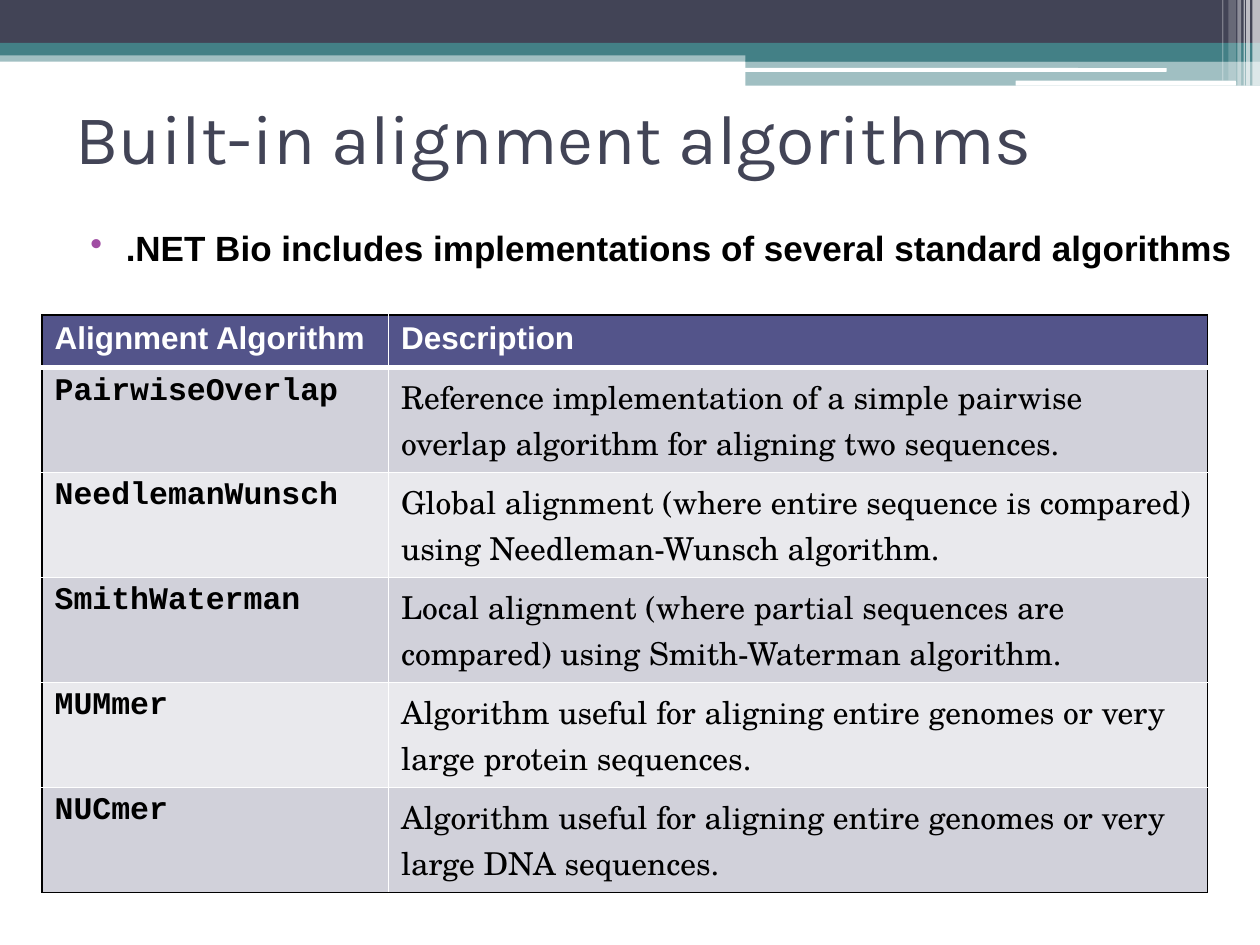
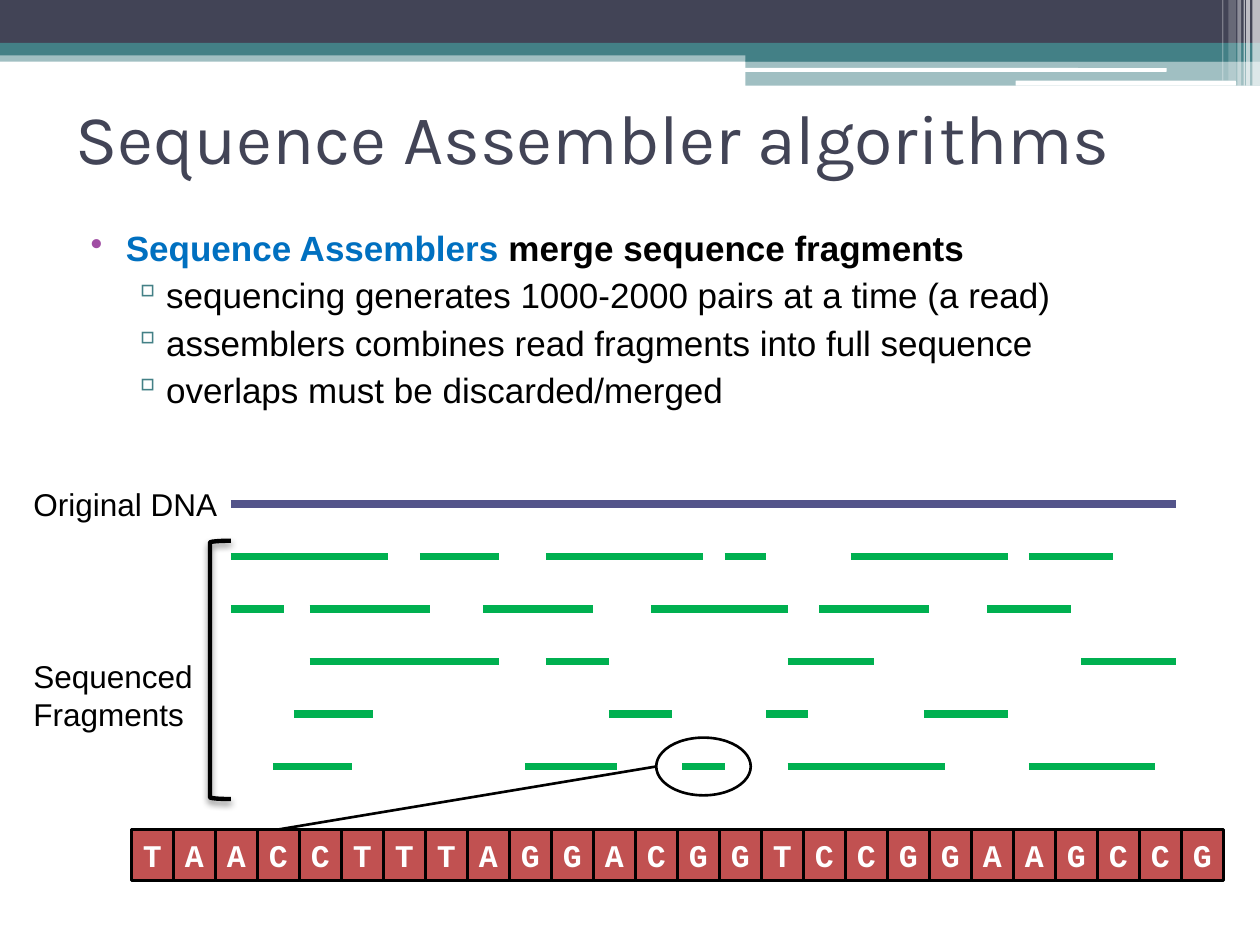
from dataclasses import dataclass

from pptx import Presentation
from pptx.dml.color import RGBColor
from pptx.enum.shapes import MSO_CONNECTOR as LINK, MSO_SHAPE as SHAPE
from pptx.enum.text import MSO_ANCHOR as ANCHOR, PP_ALIGN as ALIGN
from pptx.oxml.ns import qn
from pptx.oxml.xmlchemy import OxmlElement as element
from pptx.util import Inches, Pt

COLUMNS, ROWS, CELLS_PER_INCH = 240, 180, 24


@dataclass(frozen=True)
class Theme:
    navy: str = "424456"
    teal: str = "438086"
    violet: str = "53548A"
    purple: str = "A04DA3"
    blue: str = "0070C0"
    green: str = "00B050"
    red: str = "C15151"
    black: str = "000000"
    white: str = "FFFFFF"
    stripes: tuple = ("D1D1DA", "E9E9ED")
    heading: str = "Karla"
    sans: str = "Arial"
    mono: str = "Courier New"
    serif: str = "TeX Gyre Schola"
    title_size: int = 40
    body_size: int = 20
    small_size: int = 18
    thick: float = 4.5
    medium: float = 2.5
    thin: float = 1.5


THEME = Theme()

BANDS = [
    (0, 9.6, COLUMNS, 2.16, THEME.teal, 50),
    (0, 0, COLUMNS, 8.16, THEME.navy, 100),
    (0, 8.16, COLUMNS, 2.4, THEME.teal, 100),
    (142, 9.36, 98, 2.4, THEME.teal, 100),
    (142, 11.52, 98, 4.8, THEME.teal, 50),
]
SLITS = [(141.84, 12.96, 80.4, 0.72), (193.44, 15.36, 42, 0.96)]
PINSTRIPES = [
    (238.56, 1.44, 16.32, 65),
    (237.36, 0.72, 16.32, 65),
    (236.88, 0.24, 16.32, 60),
    (235.68, 0.72, 16.32, 40),
    (234, 1.44, 15.36, 20),
    (232.8, 0.24, 15.36, 30),
]
BULLETS = [("•", THEME.purple, 0.4, 0.28), ("▫", THEME.teal, 0.72, 0.27)]

ALGORITHMS = [
    ("PairwiseOverlap", "Reference implementation of a simple pairwise overlap "
     "algorithm for aligning two sequences."),
    ("NeedlemanWunsch", "Global alignment (where entire sequence is compared) "
     "using Needleman-Wunsch algorithm."),
    ("SmithWaterman", "Local alignment (where partial sequences are compared) "
     "using Smith-Waterman algorithm."),
    ("MUMmer", "Algorithm useful for aligning entire genomes or very large "
     "protein sequences."),
    ("NUCmer", "Algorithm useful for aligning entire genomes or very large "
     "DNA sequences."),
]
DNA_LEFT, DNA_ROW, DNA_LENGTH, READ_GAP = 44, 96, 180, 10
READS = [
    [(0, 30), (36, 51), (60, 90), (94, 102), (118, 148), (152, 168)],
    [(0, 10), (15, 38), (48, 69), (80, 106), (112, 133), (144, 160)],
    [(15, 38), (36, 51), (60, 72), (106, 122.5), (162, 180)],
    [(12, 27), (72, 84), (102, 110), (132, 148)],
    [(8, 23), (56, 73.5), (86, 94), (106, 136), (152, 176)],
]
BASES = "TAACCTTTAGGACGGTCCGGAAGCCG"


def grid(*lengths):
    return [Inches(length / CELLS_PER_INCH) for length in lengths]


def rgb(color):
    return RGBColor.from_string(color)


def apply_format(target, **values):
    for name, value in values.items():
        setattr(target, name, value)


def add_child(parent, tag, **attributes):
    child = element(tag)
    for name, value in attributes.items():
        child.set(name, str(value))
    parent.append(child)
    return child


def write(paragraph, words, size, font, color, bold=False):
    run = paragraph.add_run()
    run.text = words
    apply_format(run.font, size=Pt(size), name=font, bold=bold)
    run.font.color.rgb = rgb(color)


def add_figure(slide, kind, place, fill=None, alpha=100, line=None, width=1.5):
    figure = slide.shapes.add_shape(kind, *grid(*place))
    figure.shadow.inherit = False
    if fill:
        figure.fill.solid()
        figure.fill.fore_color.rgb = rgb(fill)
    else:
        figure.fill.background()
    if alpha < 100:
        paint = figure.element.spPr.find(qn("a:solidFill"))[0]
        add_child(paint, "a:alpha", val=alpha * 1000)
    if line:
        figure.line.color.rgb = rgb(line)
        figure.line.width = Pt(width)
    else:
        figure.line.fill.background()
    return figure


def add_stroke(slide, start, end, color, width):
    stroke = slide.shapes.add_connector(LINK.STRAIGHT, *grid(*start, *end))
    stroke.line.color.rgb = rgb(color)
    stroke.line.width = Pt(width)
    add_child(stroke.element.spPr, "a:effectLst")
    return stroke


def add_text(slide, place, anchor=ANCHOR.TOP):
    frame = slide.shapes.add_textbox(*grid(*place)).text_frame
    apply_format(frame, word_wrap=True, vertical_anchor=anchor)
    return frame


def paragraphs(frame, count):
    return [frame.paragraphs[0]] + [frame.add_paragraph() for _ in range(count - 1)]


def add_label(slide, place, lines):
    frame = add_text(slide, place)
    for paragraph, words in zip(paragraphs(frame, len(lines)), lines):
        write(paragraph, words, THEME.small_size, THEME.sans, THEME.black)


def add_points(slide, place, points):
    frame = add_text(slide, place)
    for paragraph, (level, runs) in zip(paragraphs(frame, len(points)), points):
        mark, color, margin, hanging = BULLETS[level]
        apply_format(paragraph, level=level, space_before=Pt(3))
        properties = paragraph._p.get_or_add_pPr()
        properties.set("marL", str(Inches(margin)))
        properties.set("indent", str(-Inches(hanging)))
        add_child(add_child(properties, "a:buClr"), "a:srgbClr", val=color)
        add_child(properties, "a:buChar", char=mark)
        for words, ink in runs:
            write(paragraph, words, THEME.body_size, THEME.sans, ink, level == 0)


def add_titled_slide(deck, title):
    slide = deck.slides.add_slide(deck.slide_layouts[6])
    for *place, color, alpha in BANDS:
        add_figure(slide, SHAPE.RECTANGLE, place, color, alpha)
    for place in SLITS:
        add_figure(slide, SHAPE.ROUNDED_RECTANGLE, place, THEME.white)
    for left, width, height, alpha in PINSTRIPES:
        add_figure(slide, SHAPE.RECTANGLE, (left, 0, width, height), THEME.white, alpha)
    heading = add_text(slide, (12, 12, 216, 28), ANCHOR.MIDDLE)
    write(heading.paragraphs[0], title, THEME.title_size, THEME.heading, THEME.navy)
    return slide


def add_borders(cell, edges):
    properties = cell._tc.get_or_add_tcPr()
    for position, (side, (color, width)) in enumerate(edges.items()):
        border = element(f"a:ln{side}")
        border.set("w", str(Pt(width)))
        add_child(add_child(border, "a:solidFill"), "a:srgbClr", val=color)
        properties.insert(position, border)


def fill_cell(cell, words, font, color, bold, fill, edges):
    write(cell.text_frame.paragraphs[0], words, THEME.small_size, font, color, bold)
    cell.fill.solid()
    cell.fill.fore_color.rgb = rgb(fill)
    add_borders(cell, edges)


def add_algorithm_table(slide):
    entries = [("Alignment Algorithm", "Description")] + ALGORITHMS
    last = len(entries) - 1
    table = slide.shapes.add_table(len(entries), 2, *grid(8, 60, 222, 110)).table
    table.horz_banding = False
    for column, width in zip(table.columns, grid(66, 156)):
        column.width = width
    outer, inner, rule = (THEME.black, 1), (THEME.white, 1), (THEME.white, 3)
    for row, entry in enumerate(entries):
        table.rows[row].height = grid(20 if row else 10)[0]
        for column, words in enumerate(entry):
            edges = {
                "L": inner if column else outer,
                "R": outer if column else inner,
                "T": {0: outer, 1: rule}.get(row, inner),
                "B": {0: rule, last: outer}.get(row, inner),
            }
            if row == 0:
                style = (THEME.sans, THEME.white, True, THEME.violet)
            else:
                font = THEME.serif if column else THEME.mono
                style = (font, THEME.black, column == 0, THEME.stripes[(row - 1) % 2])
            fill_cell(table.cell(row, column), words, *style, edges)


def add_reads(slide):
    def add_strand(row, start, end, color):
        add_stroke(slide, (DNA_LEFT + start, row), (DNA_LEFT + end, row), color, THEME.thick)

    add_strand(DNA_ROW, 0, DNA_LENGTH, THEME.violet)
    for index, fragments in enumerate(READS, 1):
        for start, end in fragments:
            add_strand(DNA_ROW + index * READ_GAP, start, end, THEME.green)


def add_bracket(slide):
    bracket = add_figure(slide, SHAPE.LEFT_BRACKET, (40, 103, 4, 49.2),
                         line=THEME.black, width=THEME.medium)
    effects = bracket.element.spPr.find(qn("a:effectLst"))
    shadow = add_child(effects, "a:outerShdw", blurRad=Pt(4), dist=Pt(2),
                       dir=90 * 60000, rotWithShape=0)
    add_child(add_child(shadow, "a:srgbClr", val=THEME.black), "a:alpha", val=45000)


def add_base(slide, index, letter):
    base = add_figure(slide, SHAPE.RECTANGLE, (25 + 8 * index, 158, 8, 9.7),
                      THEME.red, line=THEME.black, width=THEME.thin)
    base.text_frame.word_wrap = False
    paragraph = base.text_frame.paragraphs[0]
    paragraph.alignment = ALIGN.CENTER
    write(paragraph, letter, THEME.small_size, THEME.mono, THEME.white, True)
    return base


def build_alignment(deck):
    slide = add_titled_slide(deck, "Built-in alignment algorithms")
    add_points(slide, (12, 42, 226, 20), [
        (0, [(".NET Bio includes implementations of several standard algorithms",
              THEME.black)]),
    ])
    add_algorithm_table(slide)


def build_assembler(deck):
    slide = add_titled_slide(deck, "Sequence Assembler algorithms")
    add_points(slide, (12, 42, 220, 46), [
        (0, [("Sequence Assemblers", THEME.blue),
             (" merge sequence fragments", THEME.black)]),
        (1, [("sequencing generates 1000-2000 pairs at a time (a read)", THEME.black)]),
        (1, [("assemblers combines read fragments into full sequence", THEME.black)]),
        (1, [("overlaps must be discarded/merged", THEME.black)]),
    ])
    add_reads(slide)
    add_label(slide, (4, 91.2, 40, 9.7), ["Original DNA"])
    add_label(slide, (4, 124, 40, 17), ["Sequenced", "Fragments"])
    add_bracket(slide)
    add_figure(slide, SHAPE.OVAL, (125, 140.5, 18, 11), line=THEME.black, width=THEME.thin)
    bases = [add_base(slide, index, letter) for index, letter in enumerate(BASES)]
    callout = add_stroke(slide, (125, 146), (53, 158), THEME.black, THEME.thin)
    callout.end_connect(bases[3], 0)


def main():
    deck = Presentation()
    deck.slide_width, deck.slide_height = grid(COLUMNS, ROWS)
    build_alignment(deck)
    build_assembler(deck)
    deck.save("out.pptx")


if __name__ == "__main__":
    main()
